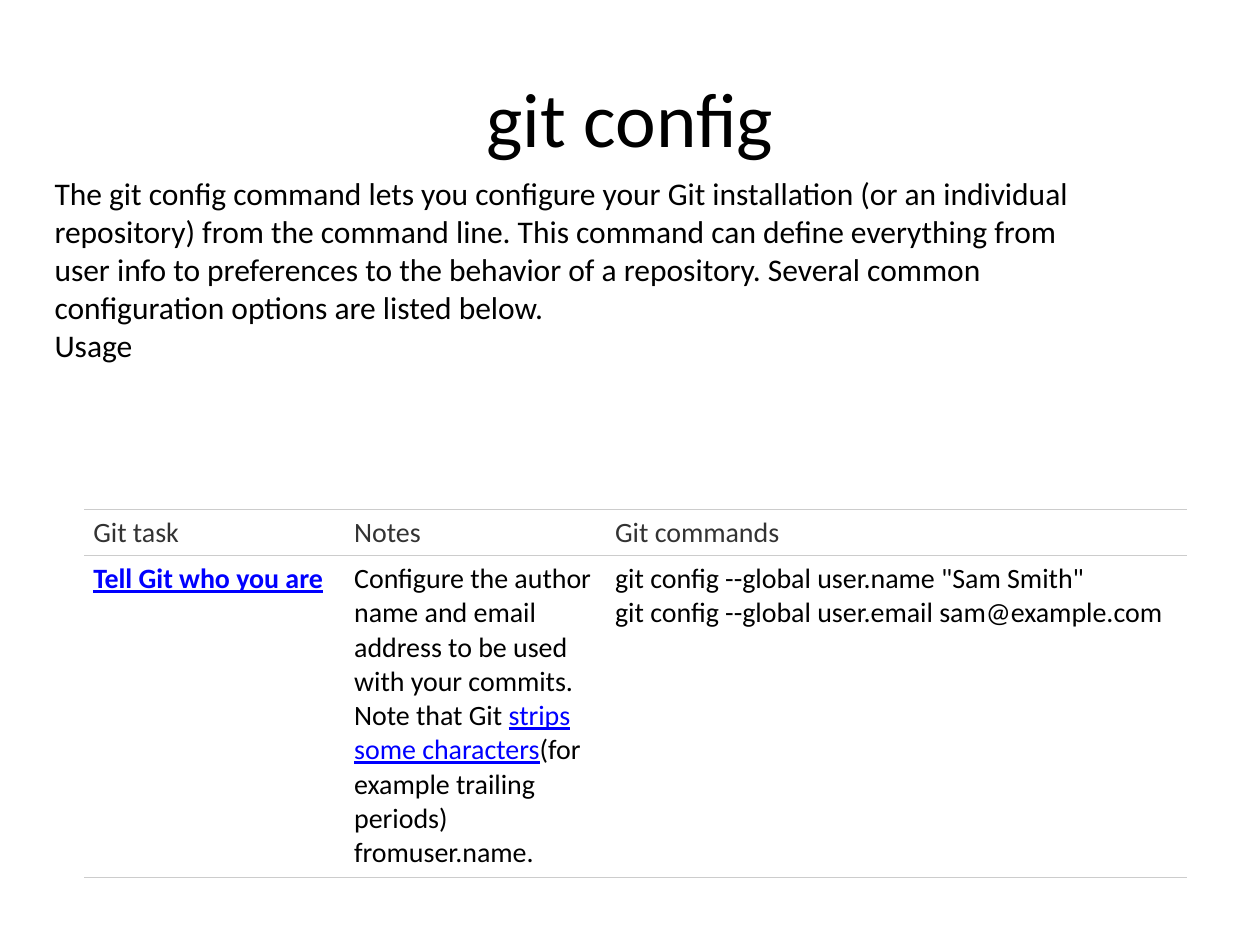
from lxml.etree import SubElement
from pptx import Presentation
from pptx.dml.color import RGBColor
from pptx.enum.text import MSO_ANCHOR as Anchor, PP_ALIGN as Align
from pptx.oxml.ns import qn
from pptx.util import Cm, Pt

COLORS = {"text": "000000", "header": "333333", "link": "0000FF",
          "rule": "CCCCCC", "cell": "FFFFFF"}
FONT = "Calibri"
RULE_WIDTH = Pt(0.6)

TITLE = "git config"
INTRO = [
    "The git config command lets you configure your Git installation (or an "
    "individual repository) from the command line. This command can define "
    "everything from user info to preferences to the behavior of a repository. "
    "Several common configuration options are listed below.",
    "Usage",
]

# A paragraph is a string, or a list of (text, format) runs.
LINK = {"color": "link", "underline": True}
HEADERS = ["Git task", "Notes", "Git commands"]
TASKS = [
    [
        [[("Tell Git who you are", {**LINK, "bold": True})]],
        [
            "Configure the author name and email address to be used with your commits.",
            [("Note that Git ", {}),
             ("strips some characters", LINK),
             ("(for example trailing periods) fromuser.name.", {})],
        ],
        [
            'git config --global user.name "Sam Smith"',
            "git config --global user.email sam@example.com",
        ],
    ],
]
COLUMN_WIDTHS = [5.26, 5.26, 11.71]
ROW_HEIGHTS = [0.94, 6.48]


def write(frame, paragraphs, size=16, color="text", align=Align.LEFT, anchor=Anchor.TOP):
    frame.word_wrap = True
    frame.vertical_anchor = anchor
    for index, content in enumerate(paragraphs):
        paragraph = frame.paragraphs[0] if index == 0 else frame.add_paragraph()
        paragraph.alignment = align
        runs = [(content, {})] if isinstance(content, str) else content
        for text, look in runs:
            run = paragraph.add_run()
            run.text = text
            font = run.font
            font.name, font.size = FONT, Pt(size)
            font.bold = look.get("bold", False)
            font.underline = look.get("underline", False)
            font.color.rgb = RGBColor.from_string(COLORS[look.get("color", color)])


def rule_cell(cell):
    """Draw the cell's top and bottom borders and hide its sides."""
    properties = cell._tc.get_or_add_tcPr()
    for side in ("lnL", "lnR", "lnT", "lnB"):
        border = SubElement(properties, qn(f"a:{side}"), w=str(RULE_WIDTH))
        if side in ("lnT", "lnB"):
            fill = SubElement(border, qn("a:solidFill"))
            SubElement(fill, qn("a:srgbClr"), val=COLORS["rule"])
        else:
            SubElement(border, qn("a:noFill"))


def add_task_table(slide):
    rows = [[[header] for header in HEADERS]] + TASKS
    table = slide.shapes.add_table(
        len(rows), len(HEADERS), Cm(1.7), Cm(10.26),
        Cm(sum(COLUMN_WIDTHS)), Cm(sum(ROW_HEIGHTS))).table
    for column, width in zip(table.columns, COLUMN_WIDTHS):
        column.width = Cm(width)
    for row, height in zip(table.rows, ROW_HEIGHTS):
        row.height = Cm(height)
    for r, row in enumerate(rows):
        for c, paragraphs in enumerate(row):
            cell = table.cell(r, c)
            cell.margin_left = cell.margin_right = Cm(0.18)
            cell.margin_top = cell.margin_bottom = Cm(0.13)
            rule_cell(cell)
            cell.fill.solid()
            cell.fill.fore_color.rgb = RGBColor.from_string(COLORS["cell"])
            write(cell.text_frame, paragraphs, color="header" if r == 0 else "text")


def main():
    deck = Presentation()
    deck.slide_width, deck.slide_height = Cm(25.4), Cm(19.05)
    slide = deck.slides.add_slide(deck.slide_layouts[6])

    title = slide.shapes.add_textbox(Cm(1.27), Cm(0.76), Cm(22.86), Cm(3.18))
    write(title.text_frame, [TITLE], size=44, align=Align.CENTER, anchor=Anchor.MIDDLE)

    add_task_table(slide)

    intro = slide.shapes.add_textbox(Cm(0.85), Cm(3.39), Cm(21.17), Cm(4.87))
    write(intro.text_frame, INTRO, size=18)

    deck.save("out.pptx")


if __name__ == "__main__":
    main()
